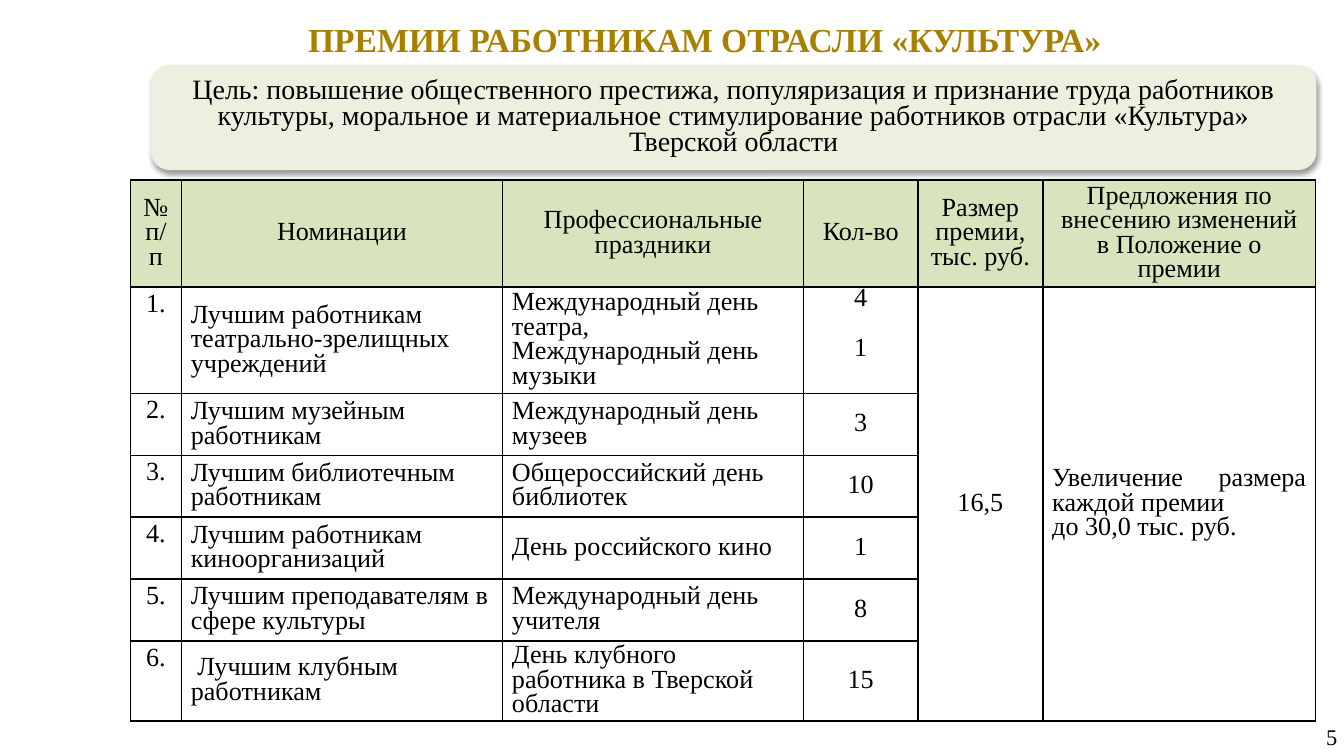
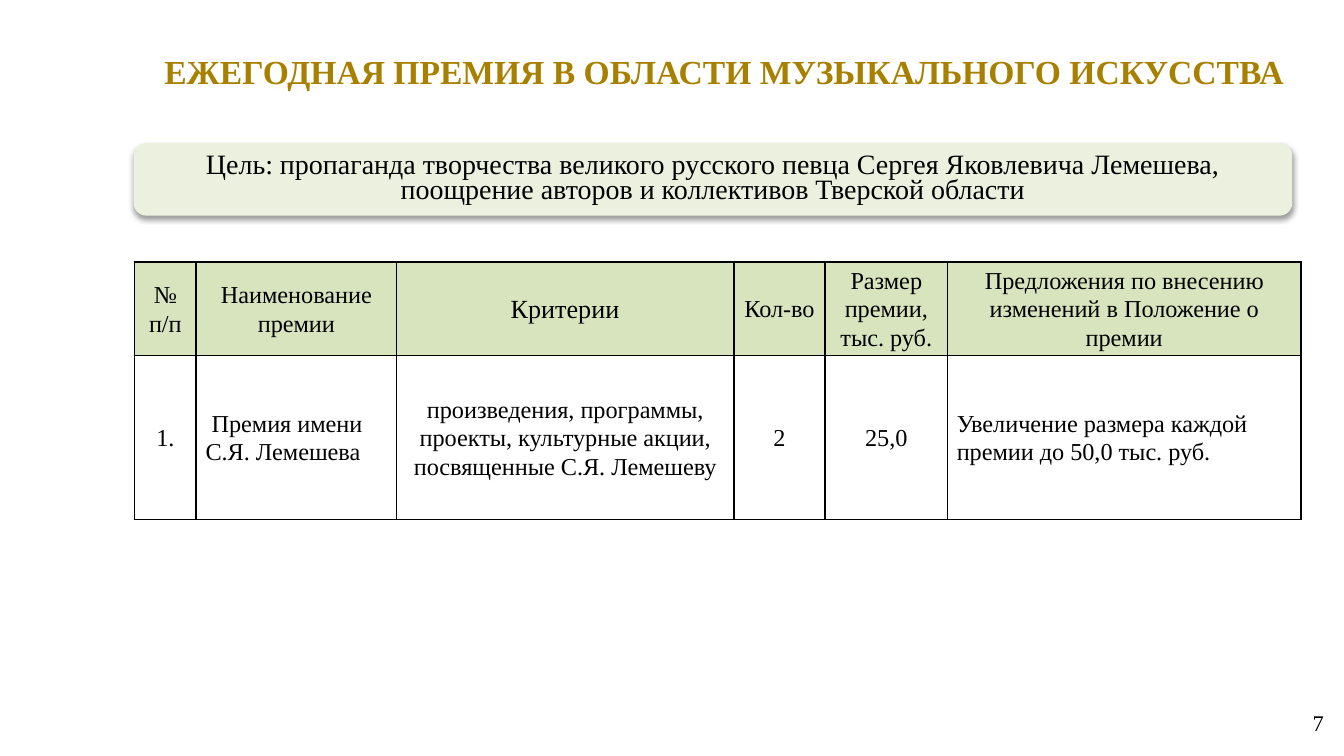
from dataclasses import dataclass, replace
from typing import Optional

from lxml import etree
from pptx import Presentation
from pptx import util as u
from pptx.dml.color import RGBColor
from pptx.enum import shapes, text
from pptx.oxml import ns

# Shared look
FONT = "Times New Roman"
GOLD = RGBColor(0xA8, 0x80, 0x00)
BLACK = RGBColor(0, 0, 0)
GOAL_GREEN = RGBColor(0xEB, 0xF1, 0xDE)
HEADER_GREEN = RGBColor(0xD7, 0xE4, 0xBD)

# A 16:9 slide; every length below is a count of these columns and rows
WIDTH = u.Inches(10)
HEIGHT = WIDTH * 9 // 16
COLUMNS, ROWS = 1000, 562.5

LEFT, CENTER, RIGHT, JUSTIFY = (
    text.PP_ALIGN.LEFT, text.PP_ALIGN.CENTER, text.PP_ALIGN.RIGHT, text.PP_ALIGN.JUSTIFY)
TOP, MIDDLE = text.MSO_ANCHOR.TOP, text.MSO_ANCHOR.MIDDLE


@dataclass(frozen=True)
class Area:
    col: int
    row: int
    cols: int
    rows: int

    def box(self) -> tuple[int, int, int, int]:
        return across(self.col), down(self.row), across(self.cols), down(self.rows)


@dataclass(frozen=True)
class Style:
    size: float = 14
    align: text.PP_ALIGN = CENTER
    anchor: text.MSO_ANCHOR = MIDDLE
    spacing: float = 1.0
    after: float = 0
    gap: float = 0       # points between paragraphs
    indent: float = 0    # points, first line
    bold: bool = False
    color: RGBColor = BLACK
    fill: Optional[RGBColor] = None


@dataclass(frozen=True)
class Cell:
    lines: tuple[str, ...]
    style: Style
    row_span: int = 1


@dataclass(frozen=True)
class Award:
    title: str
    title_area: Area
    title_anchor: text.MSO_ANCHOR
    goal: str
    goal_area: Area
    goal_spacing: float
    table_area: Area
    col_widths: tuple[int, ...]
    row_heights: tuple[int, ...]
    cells: list[list[Optional[Cell]]]
    page: str
    page_area: Area


def across(cols: float) -> int:
    return round(WIDTH * cols / COLUMNS)


def down(rows: float) -> int:
    return round(HEIGHT * rows / ROWS)


def write(frame, lines: tuple[str, ...], style: Style) -> None:
    for i, line in enumerate(lines):
        paragraph = frame.paragraphs[0] if i == 0 else frame.add_paragraph()
        paragraph.text = line
        paragraph.alignment = style.align
        paragraph.line_spacing = style.spacing
        if i and style.gap:
            paragraph.space_before = u.Pt(style.gap)
        if i == len(lines) - 1 and style.after:
            paragraph.space_after = u.Pt(style.after)
        if style.indent:
            paragraph._p.get_or_add_pPr().set("indent", str(u.Pt(style.indent)))
        font = paragraph.font
        font.name, font.size, font.bold = FONT, u.Pt(style.size), style.bold
        font.color.rgb = style.color


def set_margins(target, side: float, edge: float) -> None:
    target.margin_left = target.margin_right = across(side)
    target.margin_top = target.margin_bottom = down(edge)


def add_label(slide, label: str, area: Area, style: Style, side: float, edge: float) -> None:
    frame = slide.shapes.add_textbox(*area.box()).text_frame
    frame.word_wrap = True
    frame.vertical_anchor = style.anchor
    set_margins(frame, side, edge)
    write(frame, (label,), style)


def add_goal(slide, goal: str, area: Area, spacing: float) -> None:
    panel = slide.shapes.add_shape(shapes.MSO_SHAPE.ROUNDED_RECTANGLE, *area.box())
    panel.fill.solid()
    panel.fill.fore_color.rgb = GOAL_GREEN
    panel.line.color.rgb = GOAL_GREEN
    panel.line.width = u.Pt(0.75)
    # Soft shadow straight below the panel
    panel.shadow.inherit = False
    effects = panel._element.spPr.find(ns.qn("a:effectLst"))
    shadow = etree.SubElement(
        effects, ns.qn("a:outerShdw"), blurRad=str(u.Pt(3.1)), dist=str(u.Pt(1.6)),
        dir="5400000", rotWithShape="0")
    tint = etree.SubElement(shadow, ns.qn("a:srgbClr"), val=str(BLACK))
    etree.SubElement(tint, ns.qn("a:alpha"), val="38000")
    frame = panel.text_frame
    frame.word_wrap = True
    frame.vertical_anchor = MIDDLE
    write(frame, (goal,), Style(size=15, spacing=spacing))


def add_borders(cell) -> None:
    properties = cell._tc.get_or_add_tcPr()
    for side in ("lnL", "lnR", "lnT", "lnB"):
        border = etree.SubElement(properties, ns.qn(f"a:{side}"), w=str(u.Pt(1)))
        solid = etree.SubElement(border, ns.qn("a:solidFill"))
        etree.SubElement(solid, ns.qn("a:srgbClr"), val=str(BLACK))


def add_award_table(slide, award: Award) -> None:
    table = slide.shapes.add_table(
        len(award.row_heights), len(award.col_widths), *award.table_area.box()).table
    table.first_row = table.horz_banding = False
    for column, width in zip(table.columns, award.col_widths):
        column.width = across(width)
    for row, height in zip(table.rows, award.row_heights):
        row.height = down(height)
    for r, entries in enumerate(award.cells):
        for c, entry in enumerate(entries):
            cell = table.cell(r, c)
            add_borders(cell)
            set_margins(cell, 7, 0)
            if entry is None or entry.style.fill is None:
                cell.fill.background()
            else:
                cell.fill.solid()
                cell.fill.fore_color.rgb = entry.style.fill
            if entry is None:
                continue
            cell.vertical_anchor = entry.style.anchor
            write(cell.text_frame, entry.lines, entry.style)
            if entry.row_span > 1:
                cell.merge(table.cell(r + entry.row_span - 1, c))


def add_award(deck, award: Award) -> None:
    slide = deck.slides.add_slide(deck.slide_layouts[6])
    add_label(slide, award.title, award.title_area,
              Style(size=18, bold=True, color=GOLD, anchor=award.title_anchor), 6, 4)
    add_label(slide, award.page, award.page_area, Style(size=12, align=RIGHT), 7, 4)
    add_award_table(slide, award)
    add_goal(slide, award.goal, award.goal_area, award.goal_spacing)


# Awards for culture workers
TIGHT = Style(spacing=0.85)
TIGHT_LEFT = replace(TIGHT, align=LEFT)
TIGHT_AFTER = replace(TIGHT, after=8)
TIGHT_HEADER = replace(TIGHT_AFTER, fill=HEADER_GREEN)
NUMBER = Style(spacing=1.07, after=8, anchor=TOP)

worker_headers = (
    "№ п/п", "Номинации", "Профессиональные праздники", "Кол-во",
    "Размер премии, тыс. руб.", "Предложения по внесению изменений в Положение о премии")
nominations = (
    ("Лучшим работникам театрально-зрелищных учреждений",
     ("Международный день театра,", "Международный день музыки"), ("4", "1")),
    ("Лучшим музейным работникам", ("Международный день музеев",), ("3",)),
    ("Лучшим библиотечным работникам", ("Общероссийский день библиотек",), ("10",)),
    ("Лучшим работникам киноорганизаций", ("День российского кино",), ("1",)),
    ("Лучшим преподавателям в сфере культуры", ("Международный день учителя",), ("8",)),
    ("Лучшим клубным работникам", ("День клубного работника в Тверской области",), ("15",)),
)
worker_cells = [[Cell((header,), TIGHT_HEADER) for header in worker_headers]]
for number, (nominees, holidays, counts) in enumerate(nominations, 1):
    last = number == len(nominations)
    paired = len(counts) > 1
    worker_cells.append([
        Cell((f"{number}.",), NUMBER),
        Cell((nominees,), replace(TIGHT_LEFT, indent=3.5 if last else 0)),
        Cell(holidays, TIGHT_LEFT),
        Cell(counts, replace(TIGHT, gap=13.7, anchor=TOP) if paired else TIGHT_AFTER),
        None, None])
worker_cells[1][4:] = [
    Cell(("16,5",), TIGHT_AFTER, len(nominations)),
    Cell(("Увеличение размера каждой премии", "до 30,0 тыс. руб."),
         replace(TIGHT, align=JUSTIFY), len(nominations))]

workers = Award(
    title="ПРЕМИИ РАБОТНИКАМ ОТРАСЛИ «КУЛЬТУРА»",
    title_area=Area(122, 10, 805, 40), title_anchor=TOP,
    goal="Цель: повышение общественного престижа, популяризация и признание труда "
         "работников культуры, моральное и материальное стимулирование работников "
         "отрасли «Культура» Тверской области",
    goal_area=Area(113, 49, 866, 77), goal_spacing=0.78,
    table_area=Area(97, 134, 882, 401),
    col_widths=(38, 239, 224, 85, 93, 203),
    row_heights=(71, 57, 46, 46, 46, 46, 58),
    cells=worker_cells, page="5", page_area=Area(971, 533, 31, 30))

# Yearly music award
LOOSE = Style(size=13, spacing=1.07, after=8)
LOOSE_LEFT = replace(LOOSE, align=LEFT)
LOOSE_HEADER = replace(LOOSE, fill=HEADER_GREEN)

music_cells = [
    [Cell(("№ п/п",), LOOSE_HEADER),
     Cell(("Наименование премии",), LOOSE_HEADER),
     Cell(("Критерии",), replace(LOOSE_HEADER, size=14)),
     Cell(("Кол-во",), LOOSE_HEADER),
     Cell(("Размер премии,", "тыс. руб."), replace(LOOSE_HEADER, after=0)),
     Cell(("Предложения по внесению изменений в Положение о премии",), LOOSE_HEADER)],
    [Cell(("1.",), LOOSE),
     Cell(("Премия имени С.Я. Лемешева",), replace(LOOSE_LEFT, indent=3.25)),
     Cell(("произведения, программы, проекты, культурные акции, "
           "посвященные С.Я. Лемешеву",), LOOSE),
     Cell(("2",), LOOSE),
     Cell(("25,0",), LOOSE),
     Cell(("Увеличение размера каждой премии до 50,0 тыс. руб.",), LOOSE_LEFT)],
]
music = Award(
    title="ЕЖЕГОДНАЯ ПРЕМИЯ В ОБЛАСТИ МУЗЫКАЛЬНОГО ИСКУССТВА",
    title_area=Area(94, 18, 890, 69), title_anchor=MIDDLE,
    goal="Цель: пропаганда творчества великого русского певца Сергея Яковлевича "
         "Лемешева, поощрение авторов и коллективов Тверской области",
    goal_area=Area(100, 107, 861, 53), goal_spacing=0.75,
    table_area=Area(100, 195, 868, 191),
    col_widths=(46, 149, 251, 68, 91, 263),
    row_heights=(44, 122),
    cells=music_cells, page="7", page_area=Area(968, 523, 24, 30))


def main() -> None:
    deck = Presentation()
    deck.slide_width, deck.slide_height = WIDTH, HEIGHT
    for award in (workers, music):
        add_award(deck, award)
    deck.save("out.pptx")


if __name__ == "__main__":
    main()
